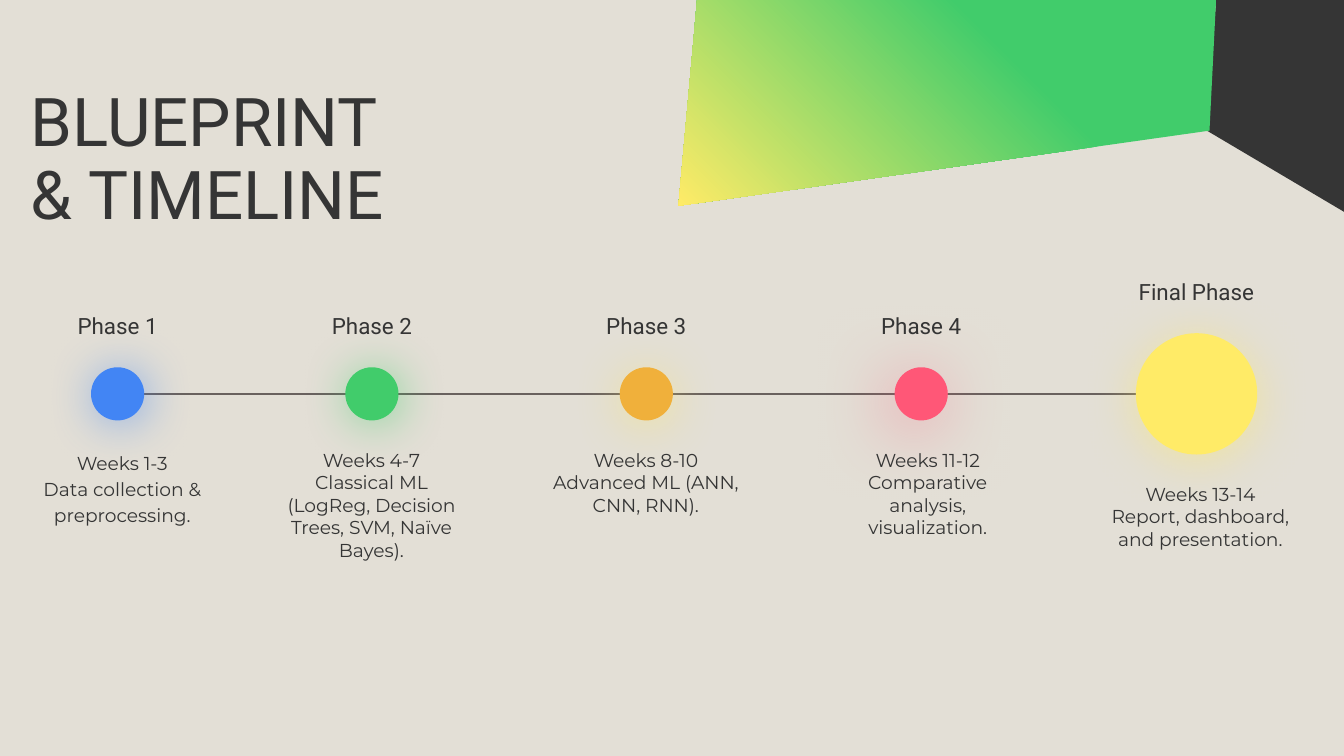
from lxml import etree
from pptx import Presentation
from pptx.dml.color import RGBColor
from pptx.enum.shapes import MSO_CONNECTOR, MSO_SHAPE
from pptx.enum.text import MSO_ANCHOR, PP_ALIGN
from pptx.oxml.ns import qn
from pptx.util import Pt

WIDTH, HEIGHT = 720, 405
DARK, GREEN, YELLOW = "353535", "41CC6B", "FFEB67"
TITLE = ["BLUEPRINT", "& TIMELINE"]

# Glow: colour, opacity %, blur, distance, direction in degrees
BLUE_GLOW = ("4285F4", 56, 25.9, 2.2, 45)
GREEN_GLOW = (GREEN, 56, 25.9, 2.2, 45)
YELLOW_GLOW = (YELLOW, 50, 27, 3, 90)
PINK_GLOW = ("FF5777", 50, 38.2, 6, 130)

# center, diameter, label width; detail center, width and line spacing
PHASES = [
    dict(label="Phase 1", weeks="Weeks 1-3", work="Data collection & preprocessing.",
         color="4285F4", glow=BLUE_GLOW, center=63, diameter=28.5, label_width=65,
         detail_center=65.5, detail_width=108, spacing=1.15),
    dict(label="Phase 2", weeks="Weeks 4-7",
         work="Classical ML (LogReg, Decision Trees, SVM, Naïve Bayes).",
         color=GREEN, glow=GREEN_GLOW, center=199.25, diameter=28.5, label_width=65,
         detail_center=199, detail_width=108, spacing=1.0),
    dict(label="Phase 3", weeks="Weeks 8-10", work="Advanced ML (ANN, CNN, RNN).",
         color="F0B03B", glow=YELLOW_GLOW, center=346.25, diameter=28.5, label_width=65,
         detail_center=346, detail_width=125, spacing=1.0),
    dict(label="Phase 4", weeks="Weeks 11-12", work="Comparative analysis, visualization.",
         color="FF5777", glow=PINK_GLOW, center=493.5, diameter=28.5, label_width=65,
         detail_center=497, detail_width=117, spacing=1.0),
    dict(label="Final Phase", weeks="Weeks 13-14", work="Report, dashboard, and presentation.",
         color=YELLOW, glow=YELLOW_GLOW, center=641, diameter=65, label_width=94,
         detail_center=643, detail_width=130, spacing=1.0),
]
TIMELINE_Y, GAP = 211, 8
LABEL_HEIGHT, DETAIL_HEIGHT = 29, 84

DARK_CORNER = [(646.5, 70), (WIDTH, 113.5), (WIDTH, 0), (651.5, 0)]
GREEN_PANEL = [(373.5, 0), (363.5, 110.25), (648, 70), (651.5, 0)]


def rgb(color):
    return RGBColor.from_string(color)


def add_polygon(slide, points):
    (x, y), *others = [(Pt(px), Pt(py)) for px, py in points]
    builder = slide.shapes.build_freeform(x, y)
    builder.add_line_segments(others, close=True)
    polygon = builder.convert_to_shape()
    polygon.shadow.inherit = False
    polygon.line.fill.background()
    return polygon


def add_glow(shape, color, opacity, blur, distance, direction):
    shape.shadow.inherit = False
    effects = shape._element.spPr.find(qn("a:effectLst"))
    glow = etree.SubElement(effects, qn("a:outerShdw"), blurRad=str(Pt(blur)),
                            dist=str(Pt(distance)), dir=str(direction * 60000),
                            algn="bl", rotWithShape="0")
    tint = etree.SubElement(glow, qn("a:srgbClr"), val=color)
    etree.SubElement(tint, qn("a:alpha"), val=str(opacity * 1000))


def add_text_frame(slide, left, top, width, height, anchor=MSO_ANCHOR.TOP):
    box = slide.shapes.add_textbox(Pt(left), Pt(top), Pt(width), Pt(height))
    frame = box.text_frame
    frame.word_wrap = True
    frame.vertical_anchor = anchor
    frame.margin_left = frame.margin_right = Pt(7.2)
    frame.margin_top = frame.margin_bottom = Pt(7.2)
    return frame


def add_run(paragraph, text, size, font):
    run = paragraph.add_run()
    run.text = text
    run.font.size = Pt(size)
    run.font.name = font
    run.font.color.rgb = rgb(DARK)


def add_phase(slide, phase):
    """Place the circle on the timeline, its label above and its detail below."""
    center, diameter = phase["center"], phase["diameter"]
    top, bottom = TIMELINE_Y - diameter / 2, TIMELINE_Y + diameter / 2

    circle = slide.shapes.add_shape(MSO_SHAPE.OVAL, Pt(center - diameter / 2), Pt(top),
                                    Pt(diameter), Pt(diameter))
    circle.fill.solid()
    circle.fill.fore_color.rgb = rgb(phase["color"])
    circle.line.fill.background()
    add_glow(circle, *phase["glow"])

    width = phase["label_width"]
    label = add_text_frame(slide, center - width / 2, top - GAP - LABEL_HEIGHT,
                           width, LABEL_HEIGHT, MSO_ANCHOR.MIDDLE).paragraphs[0]
    label.alignment = PP_ALIGN.CENTER
    add_run(label, phase["label"], 12, "Roboto")

    width = phase["detail_width"]
    detail = add_text_frame(slide, phase["detail_center"] - width / 2, bottom + GAP,
                            width, DETAIL_HEIGHT)
    for paragraph, text in ((detail.paragraphs[0], phase["weeks"]),
                            (detail.add_paragraph(), phase["work"])):
        paragraph.alignment = PP_ALIGN.CENTER
        paragraph.line_spacing = phase["spacing"]
        add_run(paragraph, text, 10, "Montserrat")


def main():
    deck = Presentation()
    deck.slide_width, deck.slide_height = Pt(WIDTH), Pt(HEIGHT)
    slide = deck.slides.add_slide(deck.slide_layouts[6])
    slide.background.fill.solid()
    slide.background.fill.fore_color.rgb = rgb("E3DFD6")

    corner = add_polygon(slide, DARK_CORNER)
    corner.fill.solid()
    corner.fill.fore_color.rgb = rgb(DARK)

    panel = add_polygon(slide, GREEN_PANEL)
    panel.fill.gradient()
    panel.fill.gradient_angle = 225
    for stop, position, color in zip(panel.fill.gradient_stops, (0.35, 1), (GREEN, YELLOW)):
        stop.position = position
        stop.color.rgb = rgb(color)

    timeline = slide.shapes.add_connector(MSO_CONNECTOR.STRAIGHT, Pt(54), Pt(TIMELINE_Y),
                                          Pt(659), Pt(TIMELINE_Y))
    timeline.line.color.rgb = rgb("69615E")
    timeline.line.width = Pt(0.75)
    etree.SubElement(timeline._element.spPr, qn("a:effectLst"))

    title = add_text_frame(slide, 9.5, 39.5, 458.5, 93, MSO_ANCHOR.BOTTOM).paragraphs[0]
    title.line_spacing = 0.9
    add_run(title, TITLE[0], 36, "Roboto")
    title.add_line_break()
    add_run(title, TITLE[1], 36, "Roboto")

    for phase in PHASES:
        add_phase(slide, phase)

    deck.save("out.pptx")


if __name__ == "__main__":
    main()
